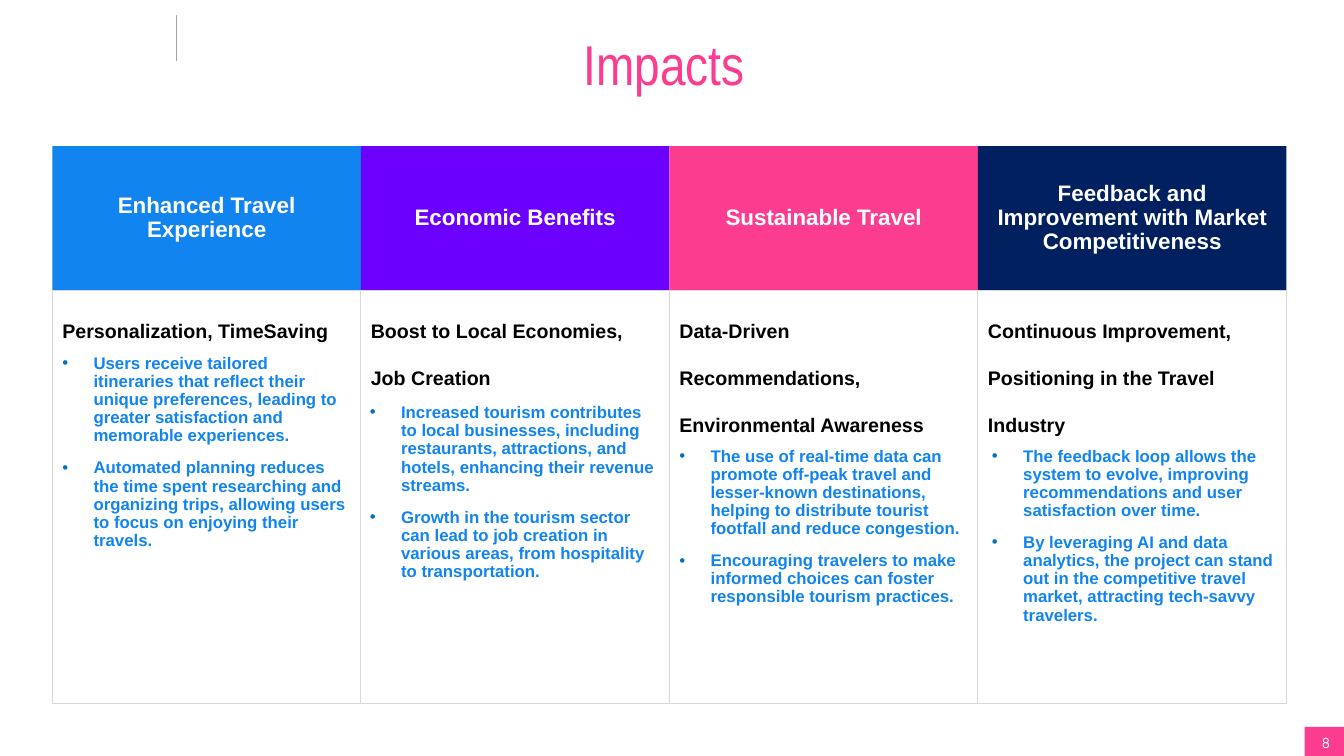
from dataclasses import dataclass
from typing import Optional

from lxml import etree
from pptx import Presentation
from pptx.dml.color import RGBColor
from pptx.enum.shapes import MSO_CONNECTOR, MSO_SHAPE
from pptx.enum.text import MSO_ANCHOR, PP_ALIGN
from pptx.oxml.ns import qn
from pptx.util import Inches, Pt

RECTANGLE = MSO_SHAPE.RECTANGLE
STRAIGHT = MSO_CONNECTOR.STRAIGHT
TOP, MIDDLE = MSO_ANCHOR.TOP, MSO_ANCHOR.MIDDLE
LEFT, CENTER = PP_ALIGN.LEFT, PP_ALIGN.CENTER


@dataclass(frozen=True)
class Theme:
    blue: str = "1184F0"
    violet: str = "6C00FF"
    pink: str = "FB3C8F"
    navy: str = "002060"
    bullet: str = "0070C0"
    white: str = "FFFFFF"
    black: str = "000000"
    border: str = "D8D8D8"
    rule: str = "A5A5A5"
    body_font: str = "Arial"
    title_font: str = "Arial Narrow"
    number_font: str = "Manrope"
    title_size: int = 40
    header_size: int = 16
    lead_size: int = 14
    point_size: int = 12
    number_size: int = 10
    line_width: float = 0.75


THEME = Theme()


@dataclass(frozen=True)
class Impact:
    header: str
    color: str
    lead: str
    points: tuple[str, ...]
    points_left: float
    points_top: float


IMPACTS = (
    Impact("Enhanced Travel Experience", THEME.blue, "Personalization, TimeSaving", (
        "Users receive tailored itineraries that reflect their unique preferences, "
        "leading to greater satisfaction and memorable experiences.",
        "Automated planning reduces the time spent researching and organizing trips, "
        "allowing users to focus on enjoying their travels.",
    ), 0.52, 3.47),
    Impact("Economic Benefits", THEME.violet, "Boost to Local Economies, Job Creation", (
        "Increased tourism contributes to local businesses, including restaurants, "
        "attractions, and hotels, enhancing their revenue streams.",
        "Growth in the tourism sector can lead to job creation in various areas, "
        "from hospitality to transportation.",
    ), 3.57, 3.96),
    Impact("Sustainable Travel", THEME.pink,
           "Data-Driven Recommendations, Environmental Awareness", (
               "The use of real-time data can promote off-peak travel and lesser-known "
               "destinations, helping to distribute tourist footfall and reduce congestion.",
               "Encouraging travelers to make informed choices can foster responsible "
               "tourism practices.",
           ), 6.64, 4.39),
    Impact("Feedback and Improvement with Market Competitiveness", THEME.navy,
           "Continuous Improvement, Positioning in the Travel Industry", (
               "The feedback loop allows the system to evolve, improving recommendations "
               "and user satisfaction over time.",
               "By leveraging AI and data analytics, the project can stand out in the "
               "competitive travel market, attracting tech-savvy travelers.",
           ), 9.74, 4.39),
)

GRID_LEFT, GRID_TOP = 0.52, 1.45
COLUMN_WIDTH, HEADER_HEIGHT, CARD_HEIGHT = 3.06, 1.43, 4.1
POINTS_HEIGHT, POINT_INDENT, POINT_GAP = 1.15, 0.31, 10


def rgb(color: str) -> RGBColor:
    return RGBColor.from_string(color)


def add_bullet(para) -> None:
    properties = para._p.get_or_add_pPr()
    properties.set("marL", str(Inches(POINT_INDENT)))
    properties.set("indent", str(-Inches(POINT_INDENT)))
    bullet_color = etree.SubElement(properties, qn("a:buClr"))
    etree.SubElement(bullet_color, qn("a:srgbClr"), val=THEME.bullet)
    etree.SubElement(properties, qn("a:buFont"), typeface=THEME.body_font)
    etree.SubElement(properties, qn("a:buChar"), char="•")


def write_text(box, *texts: str, size: int, color: str, font: str = THEME.body_font,
               bold: bool = False, align=LEFT, anchor=TOP, spacing: float = 1.0,
               bullets: bool = False, inset: float = 0.05) -> None:
    frame = box.text_frame
    frame.word_wrap = True
    frame.vertical_anchor = anchor
    frame.margin_left = frame.margin_right = Inches(0.1)
    frame.margin_top = frame.margin_bottom = Inches(inset)
    for index, text in enumerate(texts):
        para = frame.add_paragraph() if index else frame.paragraphs[0]
        para.alignment = align
        para.line_spacing = spacing
        if index:
            para.space_before = Pt(POINT_GAP)
        if bullets:
            add_bullet(para)
        span = para.add_run()
        span.text = text
        span.font.name = font
        span.font.size = Pt(size)
        span.font.bold = bold
        span.font.color.rgb = rgb(color)


def add_box(page, left: float, top: float, width: float, height: float,
            fill: Optional[str] = None, line: Optional[str] = None):
    box = page.shapes.add_shape(RECTANGLE, Inches(left), Inches(top),
                                Inches(width), Inches(height))
    box.shadow.inherit = False
    if fill:
        box.fill.solid()
        box.fill.fore_color.rgb = rgb(fill)
    else:
        box.fill.background()
    if line:
        box.line.color.rgb = rgb(line)
        box.line.width = Pt(THEME.line_width)
    else:
        box.line.fill.background()
    return box


def add_text_box(page, left: float, top: float, width: float, height: float):
    return page.shapes.add_textbox(Inches(left), Inches(top), Inches(width), Inches(height))


def add_column(page, impact: Impact, left: float) -> None:
    header = add_box(page, left, GRID_TOP, COLUMN_WIDTH, HEADER_HEIGHT, fill=impact.color)
    write_text(header, impact.header, size=THEME.header_size, color=THEME.white,
               bold=True, align=CENTER, anchor=MIDDLE, spacing=0.9)
    card = add_box(page, left, GRID_TOP + HEADER_HEIGHT, COLUMN_WIDTH, CARD_HEIGHT,
                   line=THEME.border)
    write_text(card, impact.lead, size=THEME.lead_size, color=THEME.black,
               bold=True, spacing=2.0)
    points = add_text_box(page, impact.points_left, impact.points_top,
                          COLUMN_WIDTH, POINTS_HEIGHT)
    write_text(points, *impact.points, size=THEME.point_size, color=THEME.blue,
               bold=True, spacing=0.9, bullets=True)


def main() -> None:
    deck = Presentation()
    deck.slide_width, deck.slide_height = Inches(13.33), Inches(7.5)
    page = deck.slides.add_slide(deck.slide_layouts[6])

    # Page number and corner rule
    add_box(page, 12.94, 7.21, 0.39, 0.29, fill=THEME.pink)
    write_text(add_text_box(page, 12.87, 7.24, 0.56, 0.4), "8", size=THEME.number_size,
               color=THEME.white, font=THEME.number_font, align=CENTER)
    rule = page.shapes.add_connector(STRAIGHT, Inches(1.75), Inches(0.61),
                                     Inches(1.75), Inches(0.15))
    rule.line.color.rgb = rgb(THEME.rule)
    rule.line.width = Pt(THEME.line_width)
    etree.SubElement(rule._element.spPr, qn("a:effectLst"))

    # Impact columns
    for index, impact in enumerate(IMPACTS):
        add_column(page, impact, GRID_LEFT + index * COLUMN_WIDTH)

    # Title
    write_text(add_text_box(page, 5.69, 0.19, 5.38, 0.88), "Impacts", size=THEME.title_size,
               color=THEME.pink, font=THEME.title_font, inset=0.1)

    deck.save("out.pptx")


if __name__ == "__main__":
    main()
